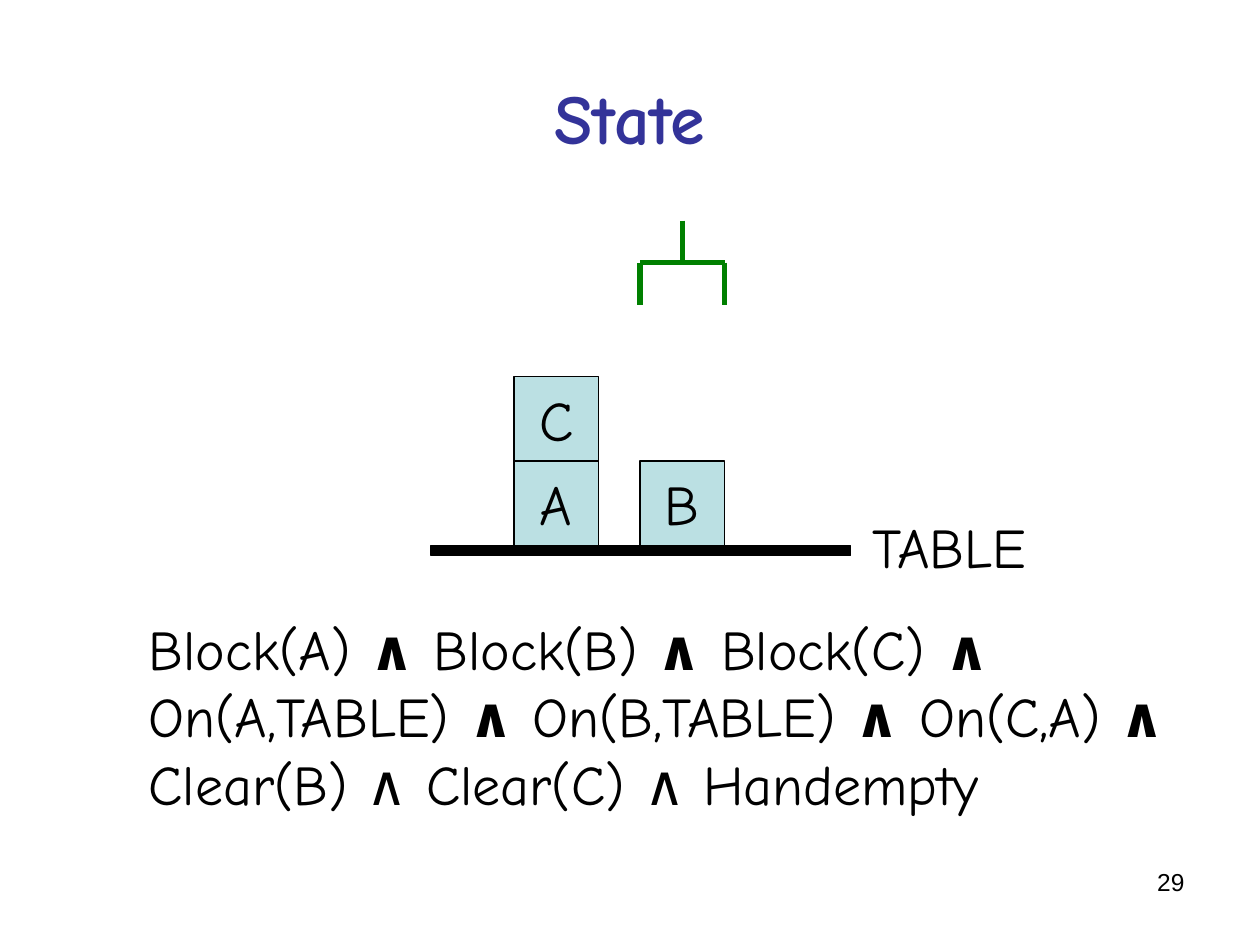
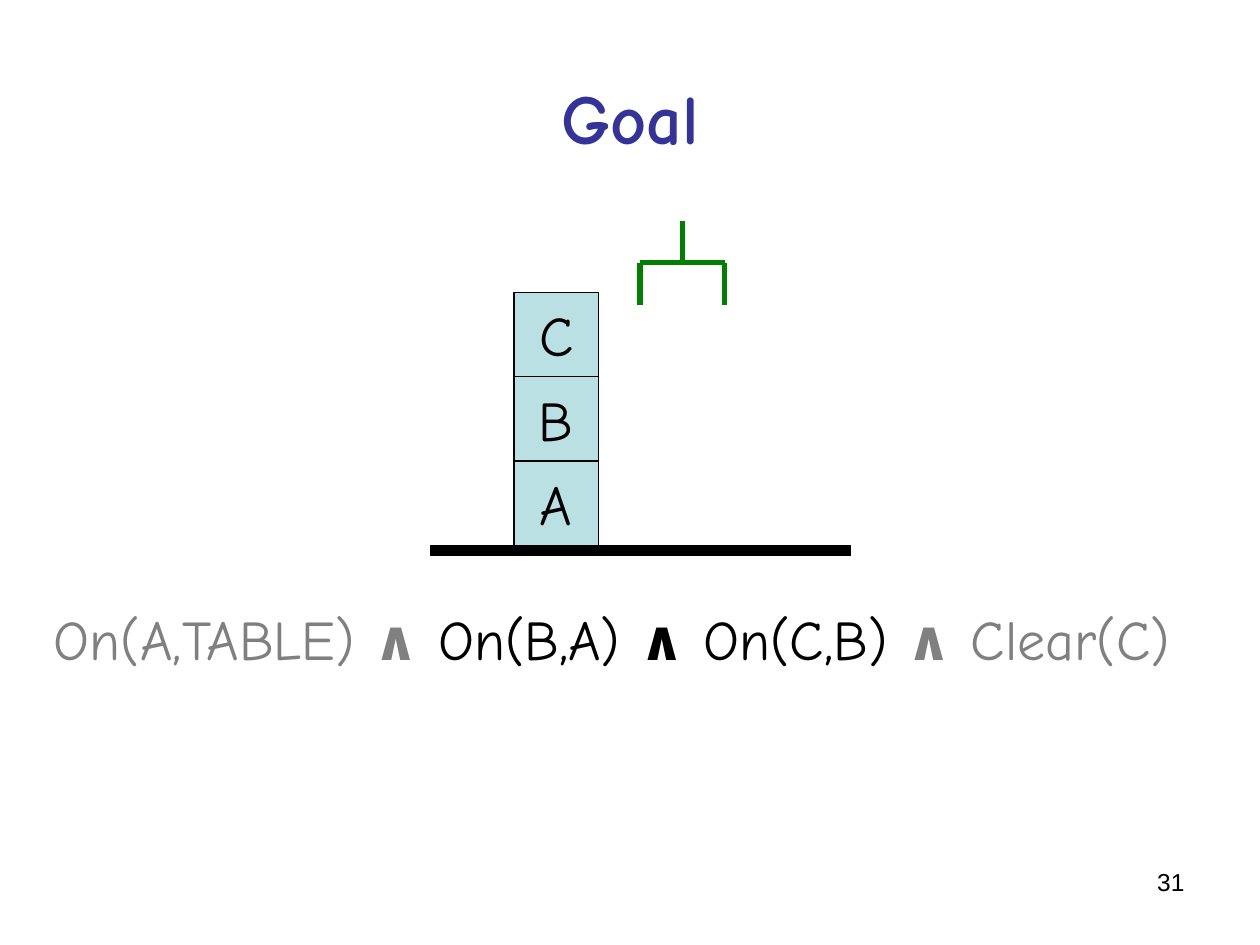
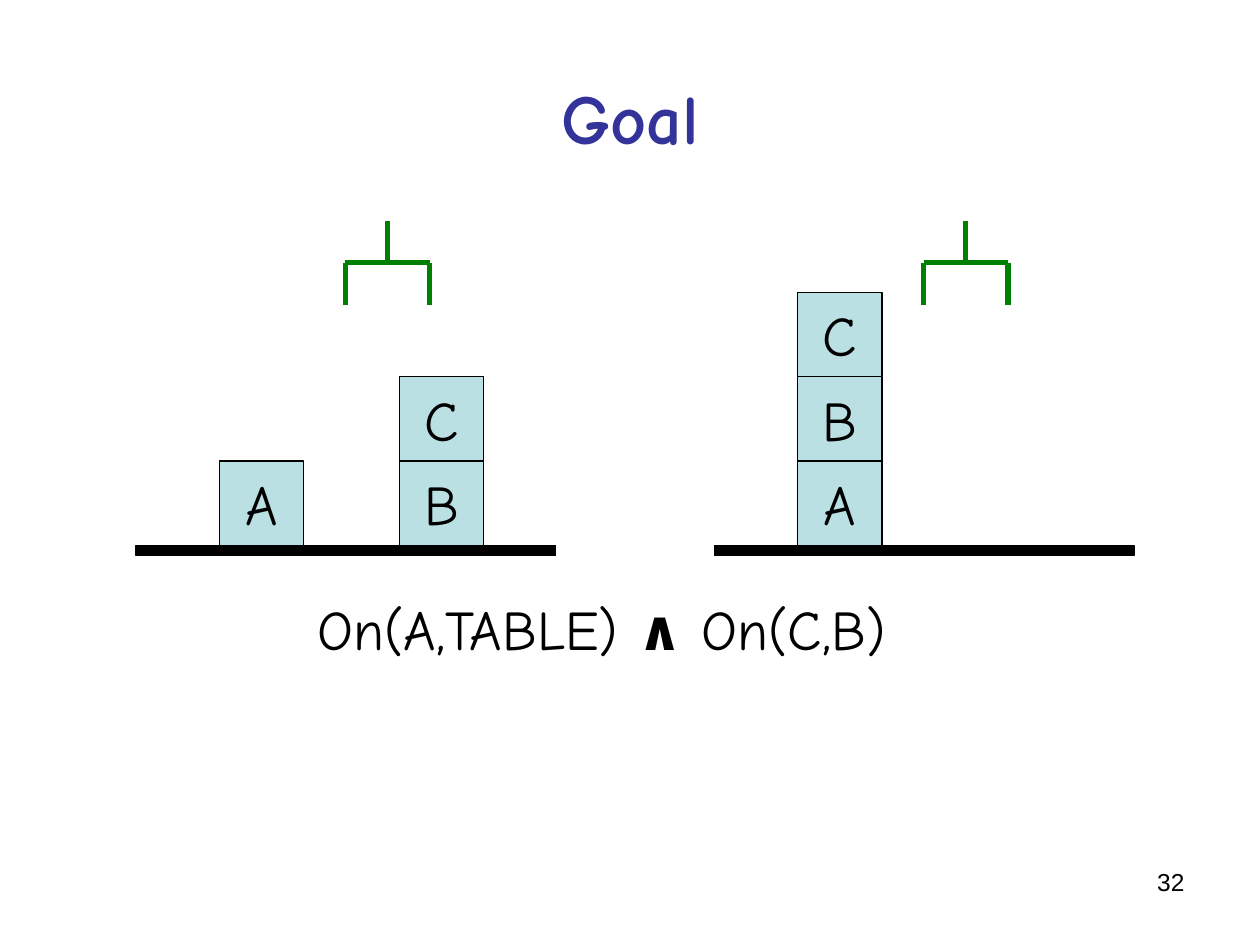
from dataclasses import dataclass

from lxml import etree
from pptx import Presentation
from pptx.dml.color import RGBColor
from pptx.enum.shapes import MSO_CONNECTOR, MSO_SHAPE
from pptx.enum.text import MSO_ANCHOR, MSO_AUTO_SIZE, PP_ALIGN
from pptx.oxml.ns import qn
from pptx.util import Inches, Pt

RECTANGLE = MSO_SHAPE.RECTANGLE
STRAIGHT = MSO_CONNECTOR.STRAIGHT
MIDDLE = MSO_ANCHOR.MIDDLE
LEFT, CENTER, RIGHT = PP_ALIGN.LEFT, PP_ALIGN.CENTER, PP_ALIGN.RIGHT
NO_FIT, GROW = MSO_AUTO_SIZE.NONE, MSO_AUTO_SIZE.SHAPE_TO_FIT_TEXT


@dataclass(frozen=True)
class Theme:
    ink: str = "000000"
    muted: str = "808080"
    heading: str = "333399"
    block: str = "BBE0E3"
    gripper: str = "008000"
    hand_font: str = "Comic Neue"
    number_font: str = "Arial"
    title_size: int = 40
    body_size: int = 32
    number_size: int = 14
    outline: float = 0.75
    gripper_line: float = 3


THEME = Theme()
TITLE_BOX = (0.5, 0.3, 9, 1.25)
NUMBER_BOX = (7.17, 6.83, 2.33, 0.52)
SCENE_TOP = 1.75
FLOOR = 2.58  # table top, below the top of the scene
TABLE_WIDTH, TABLE_HEIGHT = 3.33, 0.08
BLOCK = 0.67
FIRST_SPOT, SECOND_SPOT, FAR_SPOT = 0.66, 1.66, 2.09
AND = "∧"


def inches(*lengths):
    return [Inches(length) for length in lengths]


def set_values(target, values):
    for name, value in values.items():
        setattr(target, name, value)


def add_span(para, text, size=THEME.body_size, font=THEME.hand_font,
             colour=THEME.ink, bold=False):
    span = para.add_run()
    span.text = text
    set_values(span.font, {"size": Pt(size), "name": font, "bold": bold})
    span.font.color.rgb = RGBColor.from_string(colour)


def add_text_box(shapes, box, wrap, fit=GROW, align=LEFT):
    """Add an empty text box and return its first paragraph."""
    frame = shapes.add_textbox(*inches(*box)).text_frame
    set_values(frame, {"word_wrap": wrap, "auto_size": fit})
    para = frame.paragraphs[0]
    para.alignment = align
    return para


def add_rectangle(shapes, box, fill):
    rectangle = shapes.add_shape(RECTANGLE, *inches(*box))
    rectangle.shadow.inherit = False
    rectangle.fill.solid()
    rectangle.fill.fore_color.rgb = RGBColor.from_string(fill)
    rectangle.line.color.rgb = RGBColor.from_string(THEME.ink)
    rectangle.line.width = Pt(THEME.outline)
    return rectangle


def add_block(shapes, left, top, letter):
    block = add_rectangle(shapes, (left, top, BLOCK, BLOCK), THEME.block)
    frame = block.text_frame
    set_values(frame, {"word_wrap": False, "vertical_anchor": MIDDLE})
    para = frame.paragraphs[0]
    para.alignment = CENTER
    add_span(para, letter)


def add_gripper(shapes, left, top):
    """Draw the robot hand: a stem, a bar and two fingers."""
    half = BLOCK / 2
    middle, right = left + half, left + BLOCK
    bar, bottom = top + half, top + BLOCK
    for ends in ((left, bar, right, bar), (left, bar, left, bottom),
                 (middle, top, middle, bar), (right, bar, right, bottom)):
        line = shapes.add_connector(STRAIGHT, *inches(*ends))
        line.line.color.rgb = RGBColor.from_string(THEME.gripper)
        line.line.width = Pt(THEME.gripper_line)
        properties = line._element.find(qn("p:spPr"))
        etree.SubElement(properties, qn("a:effectLst"))


def add_scene(page, left, stacks, label=None):
    """Draw a table, its stacks (offset: letters from the bottom up) and the hand."""
    shapes = page.shapes.add_group_shape().shapes
    floor = SCENE_TOP + FLOOR
    add_rectangle(shapes, (left, floor, TABLE_WIDTH, TABLE_HEIGHT), THEME.ink)
    for offset, letters in stacks.items():
        for level, letter in enumerate(letters, start=1):
            add_block(shapes, left + offset, floor - level * BLOCK, letter)
    add_gripper(shapes, left + SECOND_SPOT, SCENE_TOP)
    if label:
        label_box = (left + TABLE_WIDTH + 0.08, floor - 0.31, 1.63, 0.63)
        add_span(add_text_box(shapes, label_box, wrap=False), label)


def add_formula(page, box, parts, wrap=False):
    """Write (colour, texts) parts in one paragraph; a lone ∧ is bold."""
    para = add_text_box(page.shapes, box, wrap)
    for colour, texts in parts:
        for text in texts:
            add_span(para, text, colour=colour, bold=text.strip() == AND)


def add_page(deck, title, number):
    page = deck.slides.add_slide(deck.slide_layouts[5])
    heading = page.shapes.title
    places = zip(("left", "top", "width", "height"), inches(*TITLE_BOX))
    set_values(heading, dict(places))
    set_values(heading.text_frame, {"word_wrap": True, "auto_size": NO_FIT,
                                    "vertical_anchor": MIDDLE})
    para = heading.text_frame.paragraphs[0]
    para.alignment = CENTER
    add_span(para, title, THEME.title_size, colour=THEME.heading, bold=True)
    number_para = add_text_box(page.shapes, NUMBER_BOX, True, NO_FIT, RIGHT)
    add_span(number_para, str(number), THEME.number_size, THEME.number_font)
    return page


def add_state_page(deck):
    page = add_page(deck, "State", 29)
    facts = ["Block(A) ", AND, " Block(B) ", AND, " Block(C) ", AND + " ",
             "On(A,TABLE) ", AND, " On(B,TABLE) ", AND, " On(C,A) ", AND,
             " Clear(B) ∧ Clear(C) ∧ Handempty"]
    add_formula(page, (1.08, 4.83, 8.5, 1.7), [(THEME.ink, facts)], wrap=True)
    add_scene(page, 3.42, {FIRST_SPOT: "AC", SECOND_SPOT: "B"}, "TABLE")


def add_tower_goal_page(deck):
    page = add_page(deck, "Goal", 31)
    add_scene(page, 3.42, {FIRST_SPOT: "ABC"})
    add_formula(page, (0.33, 4.75, 9.49, 0.63), [
        (THEME.muted, ["On(A,TABLE) ", AND]),
        (THEME.ink, [" On(B,A) ", AND, " On(C,B) "]),
        (THEME.muted, [AND, " Clear(C)"]),
    ])


def add_two_states_goal_page(deck):
    page = add_page(deck, "Goal", 32)
    add_scene(page, 1.08, {FIRST_SPOT: "A", FAR_SPOT: "BC"})
    add_formula(page, (2.42, 4.67, 5.11, 0.63),
                [(THEME.ink, ["On(A,TABLE) ", AND, " On(C,B)"])])
    add_scene(page, 5.67, {FIRST_SPOT: "ABC"})


def main():
    deck = Presentation()
    deck.slide_width, deck.slide_height = inches(10, 7.5)
    add_state_page(deck)
    add_tower_goal_page(deck)
    add_two_states_goal_page(deck)
    deck.save("out.pptx")


if __name__ == "__main__":
    main()
